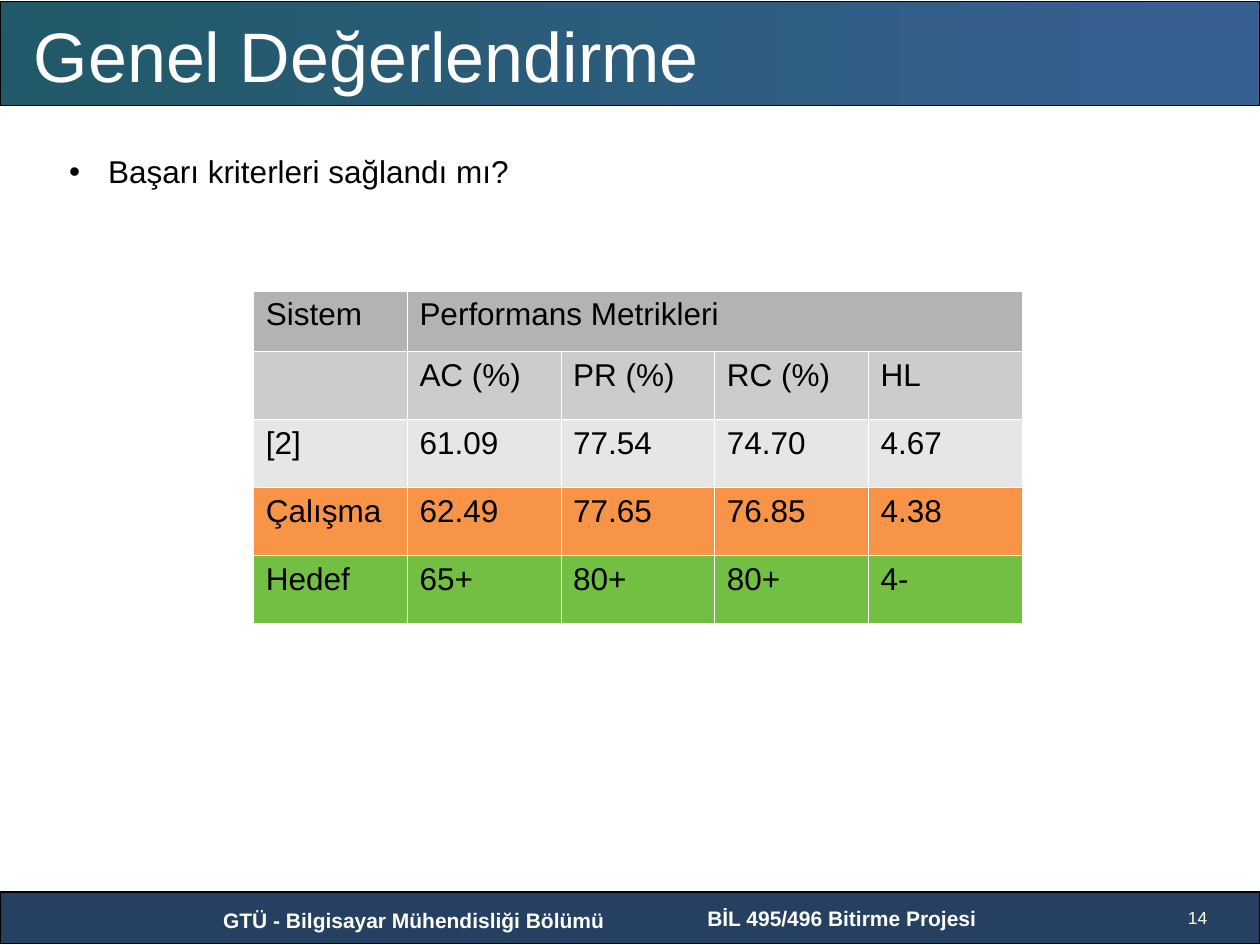
"""Build the overall evaluation slide with its success criteria table."""
from dataclasses import dataclass

from lxml import etree
from pptx import Presentation
from pptx import util as u
from pptx.dml.color import RGBColor
from pptx.enum import shapes, text
from pptx.oxml import ns


@dataclass(frozen=True)
class Theme:
    font: str = "Arial"
    white: str = "FFFFFF"
    black: str = "000000"
    cream: str = "FFFFE5"
    navy: str = "254061"
    teal: str = "215968"
    blue: str = "376092"
    rows: tuple = ("B3B3B3", "CCCCCC", "E6E6E6", "F79448", "72BF44")
    head: int = 40
    body: int = 18
    foot: int = 12
    page: int = 10


def write(frame, words, size, color, bold=False, align=text.PP_ALIGN.LEFT):
    para = frame.paragraphs[0]
    para.alignment = align
    run = para.add_run()
    run.text = words
    look = {"name": theme.font, "size": u.Pt(size), "bold": bold}
    for key, val in look.items():
        setattr(run.font, key, val)
    run.font.color.rgb = RGBColor.from_string(color)
    return para


theme = Theme()
deck = Presentation()
deck.slide_width, deck.slide_height = u.Inches(10), u.Inches(7.5)
slide = deck.slides.add_slide(deck.slide_layouts[6])

bars = []
for top, high in ((7.08, 0.41), (0.01, 0.83)):
    bar = slide.shapes.add_shape(
        shapes.MSO_SHAPE.RECTANGLE, 0, u.Inches(top), u.Inches(10), u.Inches(high))
    bar.shadow.inherit = False
    bar.line.color.rgb = RGBColor.from_string(theme.black)
    bar.line.width = u.Pt(0.75)
    bars.append(bar)
foot, head = bars
foot.fill.solid()
foot.fill.fore_color.rgb = RGBColor.from_string(theme.navy)
head.fill.gradient()
head.fill.gradient_angle = 0
for stop, color, spot in zip(head.fill.gradient_stops, (theme.teal, theme.blue), (0, 1)):
    stop.color.rgb = RGBColor.from_string(color)
    stop.position = spot

mid, left = text.PP_ALIGN.CENTER, text.PP_ALIGN.LEFT
top, centre = text.MSO_ANCHOR.TOP, text.MSO_ANCHOR.MIDDLE
labels = (
    ((1.58, 7.15, 3.41, 0.3), "GTÜ - Bilgisayar Mühendisliği Bölümü",
     theme.foot, theme.white, True, mid, top),
    ((5, 7.14, 3.41, 0.3), "BİL 495/496 Bitirme Projesi ",
     theme.foot, theme.white, True, mid, top),
    ((9.33, 7.17, 0.5, 0.08), "14", theme.page, theme.cream, False, left, top),
    ((0.17, 0.12, 8.58, 0.63), "Genel Değerlendirme",
     theme.head, theme.white, False, left, centre),
    ((0.45, 1.16, 8.66, 3.7), "Başarı kriterleri sağlandı mı?",
     theme.body, theme.black, False, left, top),
)
for place, words, size, color, bold, align, anchor in labels:
    frame = slide.shapes.add_textbox(*map(u.Inches, place)).text_frame
    for key, val in {"word_wrap": True, "vertical_anchor": anchor}.items():
        setattr(frame, key, val)
    para = write(frame, words, size, color, bold, align)

props = para._p.get_or_add_pPr()
props.set("marL", str(u.Inches(0.31)))
props.set("indent", str(u.Inches(-0.31)))
tint = etree.SubElement(props, ns.qn("a:buClr"))
etree.SubElement(tint, ns.qn("a:srgbClr"), val=theme.black)
etree.SubElement(props, ns.qn("a:buFont"), typeface=theme.font)
etree.SubElement(props, ns.qn("a:buChar"), char="•")

data = (
    ("Sistem", "Performans Metrikleri", "", "", ""),
    ("", "AC (%)", "PR (%)", "RC (%)", "HL"),
    ("[2]", "61.09", "77.54", "74.70", "4.67"),
    ("Çalışma", "62.49", "77.65", "76.85", "4.38"),
    ("Hedef", "65+", "80+", "80+", "4-"),
)
grid = slide.shapes.add_table(
    len(data), len(data[0]), *map(u.Inches, (2.01, 2.31, 6.1, 2.62))).table
for key in ("first_row", "horz_banding"):
    setattr(grid, key, False)
for col in grid.columns:
    col.width = u.Inches(1.22)
for i, (row, line, color) in enumerate(zip(grid.rows, data, theme.rows)):
    row.height = u.Inches(0.54 if i else 0.48)
    for cell, words in zip(row.cells, line):
        if words:
            write(cell.text_frame, words, theme.body, theme.black,
                  align=text.PP_ALIGN.JUSTIFY)
        cell_props = cell._tc.get_or_add_tcPr()
        for side in ("a:lnL", "a:lnR", "a:lnT", "a:lnB"):
            edge = etree.SubElement(cell_props, ns.qn(side), w=str(u.Pt(0.06)))
            paint = etree.SubElement(edge, ns.qn("a:solidFill"))
            etree.SubElement(paint, ns.qn("a:srgbClr"), val=theme.white)
        cell.fill.solid()
        cell.fill.fore_color.rgb = RGBColor.from_string(color)
grid.cell(0, 1).merge(grid.cell(0, 4))

deck.save("out.pptx")
